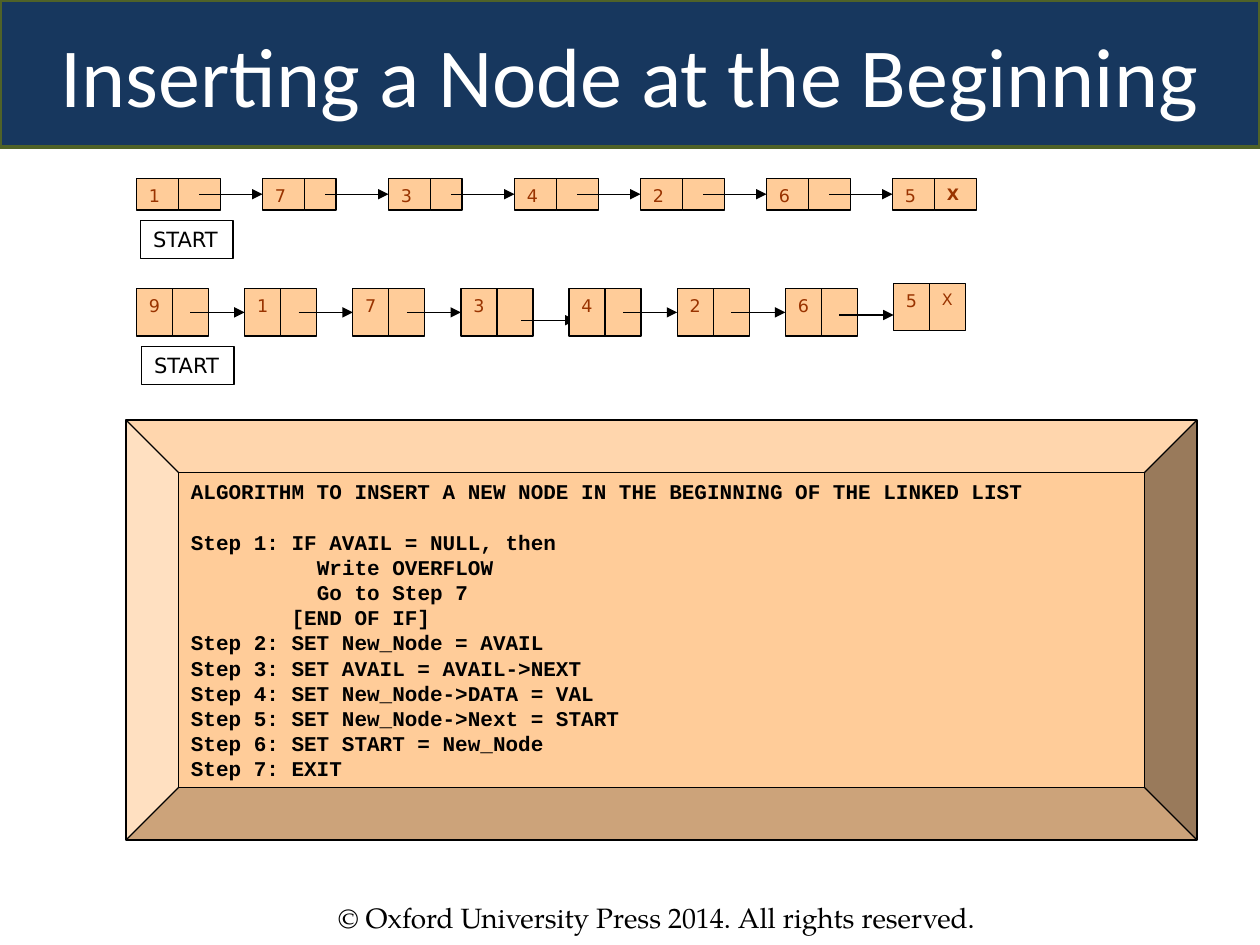
import pptx
import pptx.util
import pptx.dml.color
import pptx.enum.shapes
import pptx.enum.text
import pptx.oxml.ns
import lxml.etree

SHAPE = pptx.enum.shapes.MSO_SHAPE
ALIGN = pptx.enum.text.PP_ALIGN
ANCHOR = pptx.enum.text.MSO_ANCHOR
UNIT = pptx.util.Inches(1) / 12  # grid of 120 columns by 90 rows

deck = pptx.Presentation()
deck.slide_width = round(120 * UNIT)
deck.slide_height = round(90 * UNIT)
page = deck.slides.add_slide(deck.slide_layouts[6])


def color(code):
    return pptx.dml.color.RGBColor.from_string(code)


def draw(kind, place, fill, line, lines=(), font="DejaVu Sans", size=10, ink="993300",
         bold=False, weight=0.75, align=ALIGN.LEFT, anchor=ANCHOR.TOP, wrap=True):
    """Add a box at (column, row, columns wide, rows high) with one paragraph per line."""
    box = page.shapes.add_shape(kind, *[round(n * UNIT) for n in place])
    box.shadow.inherit = False
    if fill:
        box.fill.solid()
        box.fill.fore_color.rgb = color(fill)
    else:
        box.fill.background()
    if line:
        box.line.color.rgb = color(line)
        box.line.width = pptx.util.Pt(weight)
    else:
        box.line.fill.background()
    frame = box.text_frame
    frame.word_wrap = wrap
    frame.vertical_anchor = anchor
    for number, words in enumerate(lines):
        para = frame.add_paragraph() if number else frame.paragraphs[0]
        para.alignment = align
        span = para.add_run()
        span.text = words
        span.font.name = font
        span.font.size = pptx.util.Pt(size)
        span.font.bold = bold
        span.font.color.rgb = color(ink)
    return box


# Footer and title band
draw(SHAPE.RECTANGLE, (31, 85.2, 71, 4.4), None, None,
     ["© Oxford University Press 2014. All rights reserved."],
     font="TeX Gyre Pagella", size=16, ink="000000")
title = draw(SHAPE.ROUNDED_RECTANGLE, (0, 0, 120, 14), "17375E", "4F6228",
             ["Inserting a Node at the Beginning"], font="Calibri", size=48,
             ink="FFFFFF", weight=2, align=ALIGN.CENTER, anchor=ANCHOR.MIDDLE)
title.adjustments[0] = 0

# Linked lists before and after the insertion
lists = [
    dict(values="1734265", top=17, last_top=17, pitch=12, cell=4, height=3,
         narrow=(1, 2), bold_end=True, loose={}),
    # loose arrows: index -> (start column within the node, row)
    dict(values="91734265", top=27.5, last_top=27, pitch=10.3, cell=3.43, height=4.5,
         narrow=(), bold_end=False, loose={3: (5.75, 30.5), 6: (5.15, 30)}),
]
for chain in lists:
    cell, height = chain["cell"], chain["height"]
    last = len(chain["values"]) - 1
    arrow = None
    for index, value in enumerate(chain["values"]):
        left = 13 + index * chain["pitch"]
        top = chain["last_top"] if index == last else chain["top"]
        data = draw(SHAPE.RECTANGLE, (left, top, cell, height), "FFCC99", "000000", [value])
        if arrow is not None and index - 1 not in chain["loose"]:
            arrow.end_connect(data, 1)
        width = 3 if index in chain["narrow"] else cell
        draw(SHAPE.RECTANGLE, (left + cell, top, width, height), "FFCC99", "000000",
             ["X"] if index == last else [], size=9, bold=chain["bold_end"])
        if index == last:
            continue
        start, row = chain["loose"].get(index, (1.5 * cell, top + height / 2))
        reach = chain["pitch"] - 1.5 * cell
        ends = (left + start, row, left + start + reach, row)
        arrow = page.shapes.add_connector(pptx.enum.shapes.MSO_CONNECTOR.STRAIGHT,
                                          *[round(n * UNIT) for n in ends])
        arrow.line.color.rgb = color("000000")
        arrow.line.width = pptx.util.Pt(0.75)
        tip = lxml.etree.SubElement(arrow.line._get_or_add_ln(),
                                    pptx.oxml.ns.qn("a:tailEnd"))
        tip.set("type", "triangle")
        lxml.etree.SubElement(arrow._element.spPr, pptx.oxml.ns.qn("a:effectLst"))

# START labels
for left, top in ((13.4, 21), (13.5, 33)):
    draw(SHAPE.RECTANGLE, (left, top, 8.8, 3.6), None, "000000", ["START"], size=12,
         ink="000000", anchor=ANCHOR.MIDDLE, wrap=False)

# Algorithm panel
steps = [
    "ALGORITHM TO INSERT A NEW NODE IN THE BEGINNING OF THE LINKED LIST",
    "Step 1: IF AVAIL = NULL, then",
    "\t\tWrite OVERFLOW",
    "\t\tGo to Step 7",
    "        [END OF IF]",
    "Step 2: SET New_Node = AVAIL",
    "Step 3: SET AVAIL = AVAIL->NEXT",
    "Step 4: SET New_Node->DATA = VAL",
    "Step 5: SET New_Node->Next = START",
    "Step 6: SET START = New_Node",
    "Step 7: EXIT",
]
panel = draw(SHAPE.BEVEL, (12, 40, 102, 40), "FFCC99", "000000", steps,
             font="Courier New", size=12, ink="000000", bold=True)
panel.adjustments[0] = 0.125
panel.text_frame.paragraphs[1].space_before = pptx.util.Pt(14.4)

deck.save("out.pptx")
